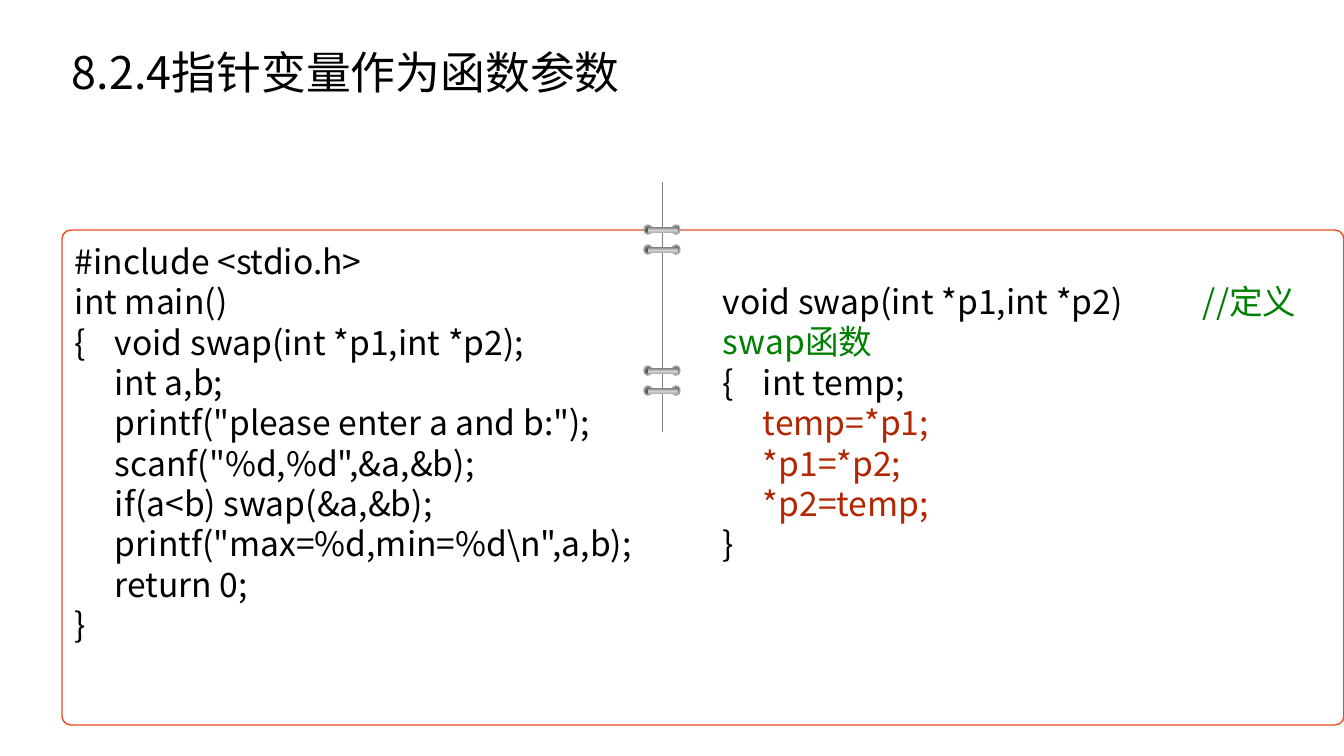
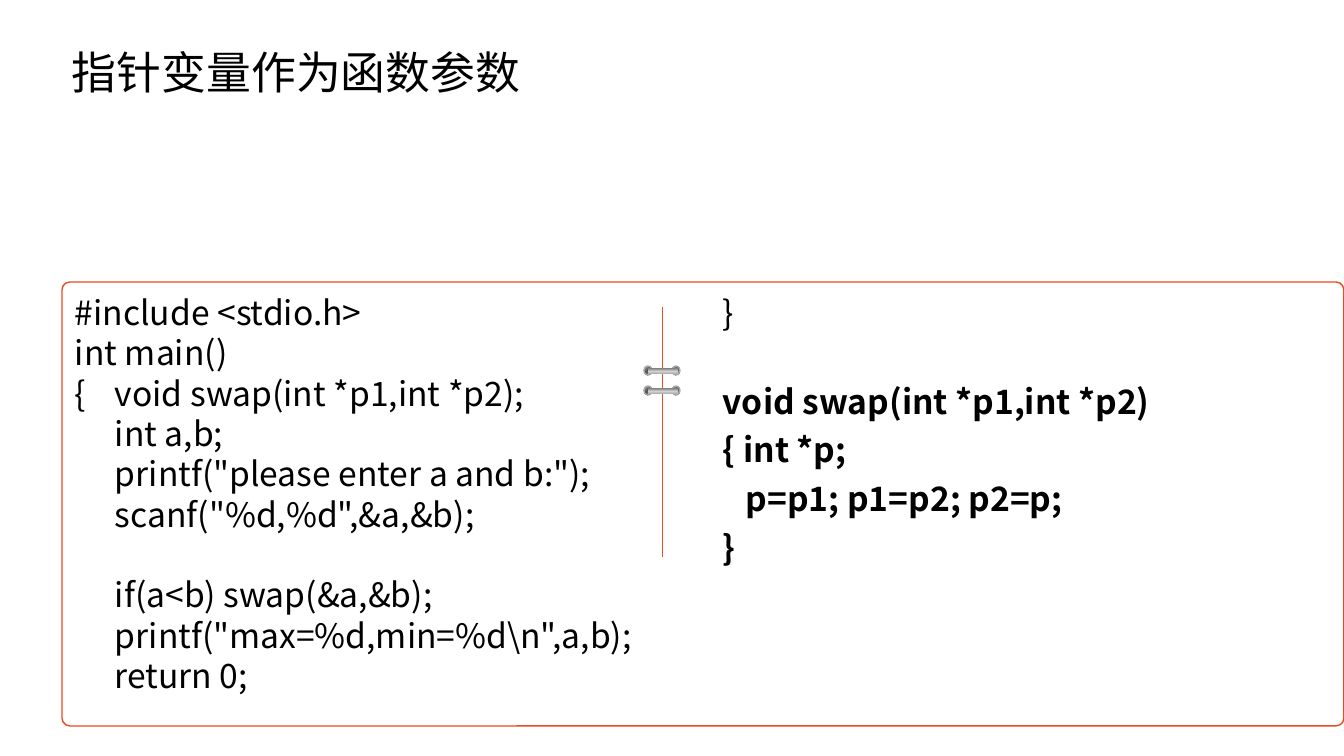
from lxml import etree
from pptx import Presentation
from pptx import util as u
from pptx.dml.color import RGBColor
from pptx.enum import shapes, text
from pptx.oxml.ns import qn

PX = 914400 / 100.8
FONT = "Noto Sans CJK SC"
BLACK, WHITE, GREY = "000000", "FFFFFF", "7F7F7F"
ACCENT, GREEN, RED, RING = "E84C22", "008000", "B22600", "A9A9A9"
KNOB = ((20, "808080"), (51, "525252"), (86, "A5A5A5"))
BAR = ((9, "808080"), (57, "D2D2D2"), (98, "AEAEAE"))
LINE_PT, TAB, COLUMNS, COLUMN_W = 28.8, 40, (75, 723), 609


def px(*lengths):
    """Turn pixel lengths into EMU."""
    return [u.Emu(round(n * PX)) for n in lengths]


def rgb(code):
    """Turn a hex string into a colour."""
    return RGBColor.from_string(code)


def add_run(p, txt, *, size=24, color=BLACK, bold=False):
    """Append formatted text to a paragraph."""
    r = p.add_run()
    r.text = txt
    r.font.size, r.font.bold, r.font.name = u.Pt(size), bold, FONT
    r.font.color.rgb = rgb(color)
    etree.SubElement(r.font._element, qn("a:ea")).set("typeface", FONT)


def add_gradient(sp, stops, radial):
    """Fill a shape with a radial or a vertical gradient."""
    sp.fill.solid()
    solid = sp._element.spPr.find(qn("a:solidFill"))
    grad = etree.Element(qn("a:gradFill"), rotWithShape="1")
    gs_list = etree.SubElement(grad, qn("a:gsLst"))
    for pos, color in stops:
        gs = etree.SubElement(gs_list, qn("a:gs"), pos=str(pos * 1000))
        etree.SubElement(gs, qn("a:srgbClr"), val=color)
    if radial:
        circle = etree.SubElement(grad, qn("a:path"), path="circle")
        etree.SubElement(circle, qn("a:fillToRect"), l="100000", t="100000")
    else:
        etree.SubElement(grad, qn("a:lin"), ang="5400000", scaled="0")
    solid.getparent().replace(solid, grad)


class Deck:
    """Hold the shared style and the current slide."""

    def __init__(self):
        """Start an empty wide presentation."""
        self.prs = Presentation()
        self.prs.slide_width, self.prs.slide_height = px(1344, 756)

    def slide(self, title):
        """Add a slide with its title."""
        self.s = self.prs.slides.add_slide(self.prs.slide_layouts[6])
        self.s.background.fill.solid()
        self.s.background.fill.fore_color.rgb = rgb(WHITE)
        tf = self.box(72, 2, 1139, 146)
        tf.vertical_anchor = text.MSO_ANCHOR.MIDDLE
        p = tf.paragraphs[0]
        p.line_spacing = 0.9
        add_run(p, title, size=32)

    def box(self, x, y, w, h):
        """Add a wrapping text box without margins."""
        tf = self.s.shapes.add_textbox(*px(x, y, w, h)).text_frame
        tf.word_wrap = True
        tf.margin_left = tf.margin_right = tf.margin_top = tf.margin_bottom = 0
        return tf

    def frame(self, y, h):
        """Add the rounded frame around the code."""
        sp = self.s.shapes.add_shape(
            shapes.MSO_SHAPE.ROUNDED_RECTANGLE, *px(62, y, 1282, h))
        sp.adjustments[0] = 0.018
        sp.shadow.inherit = False
        sp.fill.solid()
        sp.fill.fore_color.rgb = rgb(WHITE)
        sp.line.color.rgb = rgb(ACCENT)
        sp.line.width = u.Pt(1)

    def code(self, column, y, lines, gaps=None, spacing=LINE_PT, bold=False,
             tabs=(TAB,)):
        """Add code lines; each is a string or a list of coloured runs."""
        tf = self.box(COLUMNS[column], y, COLUMN_W, len(lines) * 40)
        for i, line in enumerate(lines):
            p = tf.add_paragraph() if i else tf.paragraphs[0]
            p.line_spacing = u.Pt(spacing)
            if gaps and i in gaps:
                p.space_before = u.Pt(gaps[i])
            stops = etree.SubElement(p._p.get_or_add_pPr(), qn("a:tabLst"))
            for pos in px(*tabs):
                etree.SubElement(stops, qn("a:tab"), pos=str(pos), algn="l")
            runs = [(line, BLACK)] if isinstance(line, str) else line
            for txt, color in runs:
                add_run(p, txt, color=color, bold=bold)

    def spine(self, y, h, color):
        """Add the thin line between the columns."""
        c = self.s.shapes.add_connector(
            shapes.MSO_CONNECTOR.STRAIGHT, *px(662, y, 662, y + h))
        c.line.color.rgb = rgb(color)
        c.line.width = u.Pt(0.5)
        etree.SubElement(c._element.spPr, qn("a:effectLst"))

    def rings(self, y):
        """Add a group of two binder rings."""
        group = self.s.shapes.add_group_shape().shapes
        oval, rect = shapes.MSO_SHAPE.OVAL, shapes.MSO_SHAPE.RECTANGLE
        for top in (y, y + 20):
            for kind, x, dy, w, h in ((oval, 672, 0, 8, 9), (oval, 644, 0, 8, 9),
                                      (rect, 648, 2, 30, 6)):
                sp = group.add_shape(kind, *px(x, top + dy, w, h))
                sp.shadow.inherit = False
                add_gradient(sp, KNOB if kind == oval else BAR, kind == oval)
                if kind == oval:
                    sp.line.color.rgb = rgb(RING)
                    sp.line.width = u.Pt(1)
                else:
                    sp.line.fill.background()


MAIN = [
    "#include <stdio.h>",
    "int main()",
    "{\tvoid swap(int *p1,int *p2);",
    "\tint a,b;",
    "\tprintf(\"please enter a and b:\");",
    "\tscanf(\"%d,%d\",&a,&b);",
    "\tif(a<b) swap(&a,&b);",
    "\tprintf(\"max=%d,min=%d\\n\",a,b);",
    "\treturn 0;",
]
SWAP_VALUES = [
    [("void swap(int *p1,int *p2)\t", BLACK), ("//定义swap函数", GREEN)],
    "{\tint temp;",
    [("\ttemp=*p1;", RED)],
    [("\t*p1=*p2;", RED)],
    [("\t*p2=temp;", RED)],
    "}",
]
SWAP_POINTERS = [
    "void swap(int *p1,int *p2)",
    "{ int *p;",
    "   p=p1; p1=p2; p2=p;",
    "}",
]


def main():
    """Build both slides and save them."""
    d = Deck()

    d.slide("8.2.4指针变量作为函数参数")
    d.frame(230, 495)
    d.code(0, 241, MAIN + ["}"])
    d.code(1, 281, SWAP_VALUES[:1], tabs=(12 * TAB,))
    d.code(1, 362, SWAP_VALUES[1:])
    d.spine(182, 250, GREY)
    for y in (225, 366):
        d.rings(y)

    d.slide("指针变量作为函数参数")
    d.frame(282, 444)
    d.code(0, 292, MAIN, gaps={6: LINE_PT})
    d.code(1, 292, ["}"])
    d.code(1, 379, SWAP_POINTERS, gaps={1: 4.8, 2: 4.8, 3: 4.8},
           spacing=30, bold=True)
    d.spine(307, 250, ACCENT)
    d.rings(366)

    d.prs.save("out.pptx")


if __name__ == "__main__":
    main()
